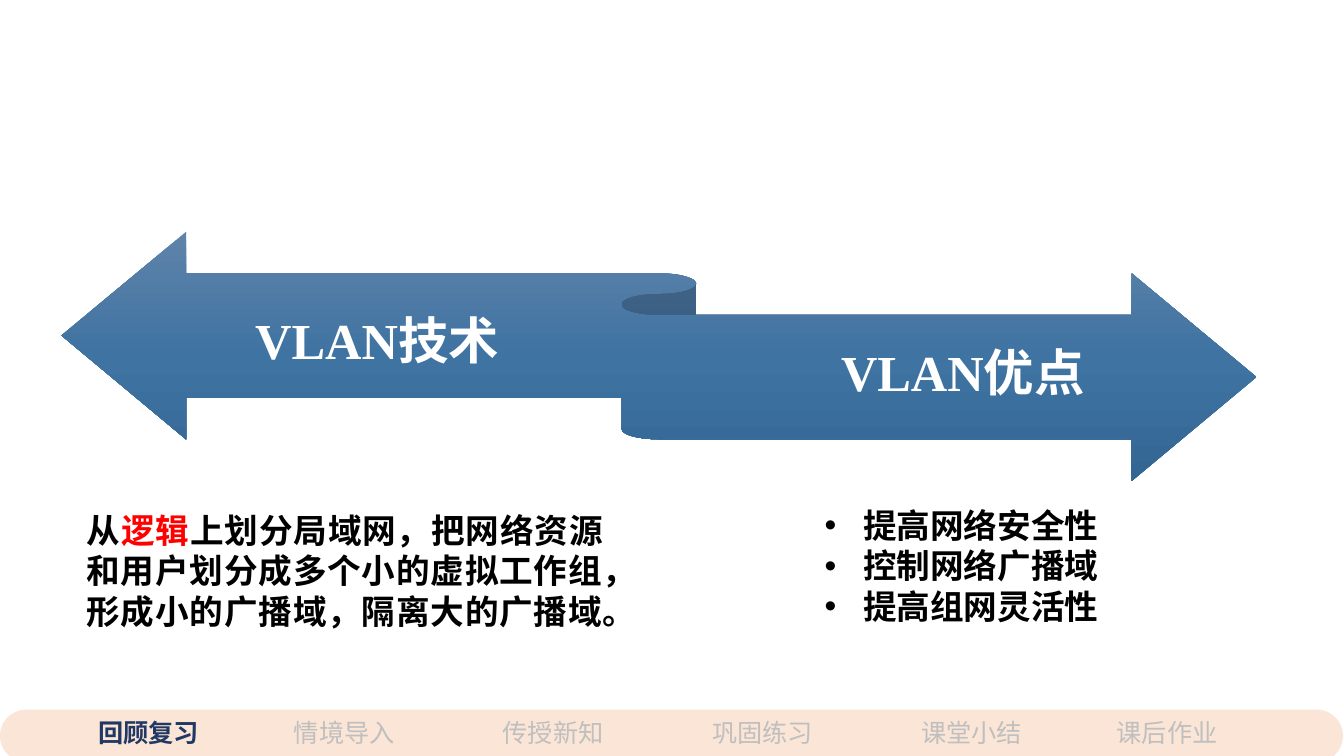
import copy
from dataclasses import dataclass

import pptx
import pptx.dml.color
import pptx.enum.shapes
import pptx.enum.text
import pptx.oxml.ns
import pptx.util
from lxml import etree

Inches = pptx.util.Inches
Shapes = pptx.enum.shapes.MSO_SHAPE
Align = pptx.enum.text.PP_ALIGN
Anchor = pptx.enum.text.MSO_ANCHOR
AutoSize = pptx.enum.text.MSO_AUTO_SIZE
qn = pptx.oxml.ns.qn


@dataclass(frozen=True)
class Theme:
    """Colours, fonts and type sizes of the slide."""
    ribbon: tuple = ("5F83AA", "3F73A2", "346694")
    white: str = "FFFFFF"
    text: str = "000000"
    accent: str = "FF0000"
    bar: str = "FBE5D6"
    active: str = "203864"
    inactive: str = "BFBFBF"
    heading_font: str = "Times New Roman"
    font: str = "Noto Sans CJK SC"
    heading_size: int = 36
    body_size: int = 24
    tab_size: int = 18


THEME = Theme()


def rgb(value):
    """Turn a hex string into a colour."""
    return pptx.dml.color.RGBColor.from_string(value)


def format_paragraph(paragraph, size, color, bold, alignment, font=THEME.font):
    """Set the alignment and the Latin and East Asian type of a paragraph."""
    paragraph.alignment = alignment
    paragraph.font.name = font
    paragraph.font.size = pptx.util.Pt(size)
    paragraph.font.bold = bold
    paragraph.font.color.rgb = rgb(color)
    latin = next(paragraph._p.iter(qn("a:latin")))
    east_asian = etree.Element(qn("a:ea"), typeface=THEME.font)
    latin.addnext(east_asian)


def add_shape(slide, kind, left, top, width, height):
    """Add a preset shape without shadow or outline."""
    shape = slide.shapes.add_shape(
        kind, Inches(left), Inches(top), Inches(width), Inches(height))
    shape.shadow.inherit = False
    shape.line.fill.background()
    return shape


def add_text_box(slide, left, top, width, height):
    """Add a wrapping text box and return its text frame."""
    box = slide.shapes.add_textbox(
        Inches(left), Inches(top), Inches(width), Inches(height))
    box.text_frame.word_wrap = True
    return box.text_frame


def add_ribbon(slide):
    """Add the two-way ribbon with its vertical gradient."""
    ribbon = add_shape(slide, Shapes.LEFT_RIGHT_RIBBON, 0.61, 2.3, 11.85, 2.47)
    first, middle, last = THEME.ribbon
    ribbon.fill.gradient()
    ribbon.fill.gradient_angle = 270
    stops = ribbon.fill.gradient_stops
    stops[0].color.rgb = rgb(first)
    stops[1].color.rgb = rgb(last)
    first_stop = next(ribbon._element.iter(qn("a:gs")))
    first_stop.addnext(copy.deepcopy(first_stop))
    middle_stop = ribbon.fill.gradient_stops[1]
    middle_stop.position = 0.5
    middle_stop.color.rgb = rgb(middle)


def add_heading(slide, text, left, top, width):
    """Add a white heading on one half of the ribbon."""
    frame = add_text_box(slide, left, top, width, 1.21)
    frame.vertical_anchor = Anchor.MIDDLE
    frame.margin_left = frame.margin_right = 0
    frame.margin_top = Inches(0.14)
    frame.margin_bottom = Inches(0.15)
    paragraph = frame.paragraphs[0]
    paragraph.text = text
    paragraph.line_spacing = 0.9
    format_paragraph(paragraph, THEME.heading_size, THEME.white, True,
                     Align.CENTER, THEME.heading_font)


def add_definition(slide, before, keyword, after):
    """Add the definition with its keyword in the accent colour."""
    frame = add_text_box(slide, 0.76, 5.01, 5.32, 1.31)
    paragraph = frame.paragraphs[0]
    for text in (before, keyword, after):
        paragraph.add_run().text = text
    format_paragraph(paragraph, THEME.body_size, THEME.text, True, Align.JUSTIFY)
    paragraph.runs[1].font.color.rgb = rgb(THEME.accent)


def fill_benefits(body, benefits):
    """Move the body placeholder and fill it with a bulleted list."""
    body.left, body.top = Inches(8.08), Inches(4.96)
    body.width, body.height = Inches(3.13), Inches(1.31)
    frame = body.text_frame
    frame.auto_size = AutoSize.NONE
    frame.text = "\n".join(benefits)
    for paragraph in frame.paragraphs:
        properties = paragraph._p.get_or_add_pPr()
        properties.set("marL", str(Inches(0.38)))
        properties.set("indent", str(Inches(-0.38)))
        etree.SubElement(properties, qn("a:buFont"), typeface="Arial")
        etree.SubElement(properties, qn("a:buChar"), char="•")
        paragraph.space_before = pptx.util.Pt(0)
        format_paragraph(paragraph, THEME.body_size, THEME.text, True, Align.JUSTIFY)


def add_tab(slide, text, left, active):
    """Add one lesson step to the navigation bar."""
    tab = add_shape(slide, Shapes.RECTANGLE, left, 7.07, 1.21, 0.4)
    tab.fill.solid()
    tab.fill.fore_color.rgb = rgb(THEME.bar)
    tab.text_frame.word_wrap = False
    paragraph = tab.text_frame.paragraphs[0]
    paragraph.text = text
    color = THEME.active if active else THEME.inactive
    format_paragraph(paragraph, THEME.tab_size, color, active, Align.CENTER)


def add_navigation(slide, steps, current):
    """Add the rounded bar and its lesson steps."""
    bar = add_shape(slide, Shapes.ROUNDED_RECTANGLE, 0, 7.04, 13.32, 0.52)
    bar.adjustments[0] = 0.5
    bar.fill.solid()
    bar.fill.fore_color.rgb = rgb(THEME.bar)
    for text, left in steps:
        add_tab(slide, text, left, text == current)


def main():
    """Build the VLAN review slide."""
    presentation = pptx.Presentation()
    presentation.slide_width = Inches(13.33)
    presentation.slide_height = Inches(7.5)
    slide = presentation.slides.add_slide(presentation.slide_layouts[1])
    title = slide.shapes.title._element
    title.getparent().remove(title)

    add_ribbon(slide)
    add_heading(slide, "VLAN技术", 2.16, 2.8, 3.16)
    add_heading(slide, "VLAN优点", 7.73, 3.12, 3.64)
    add_definition(
        slide, "从", "逻辑",
        "上划分局域网，把网络资源和用户划分成多个小的虚拟工作组，"
        "形成小的广播域，隔离大的广播域。")
    fill_benefits(slide.placeholders[1],
                  ("提高网络安全性", "控制网络广播域", "提高组网灵活性"))
    steps = (("回顾复习", 0.87), ("情境导入", 2.81), ("传授新知", 4.88),
             ("巩固练习", 6.96), ("课堂小结", 9.03), ("课后作业", 10.97))
    add_navigation(slide, steps, "回顾复习")
    presentation.save("out.pptx")


if __name__ == "__main__":
    main()
